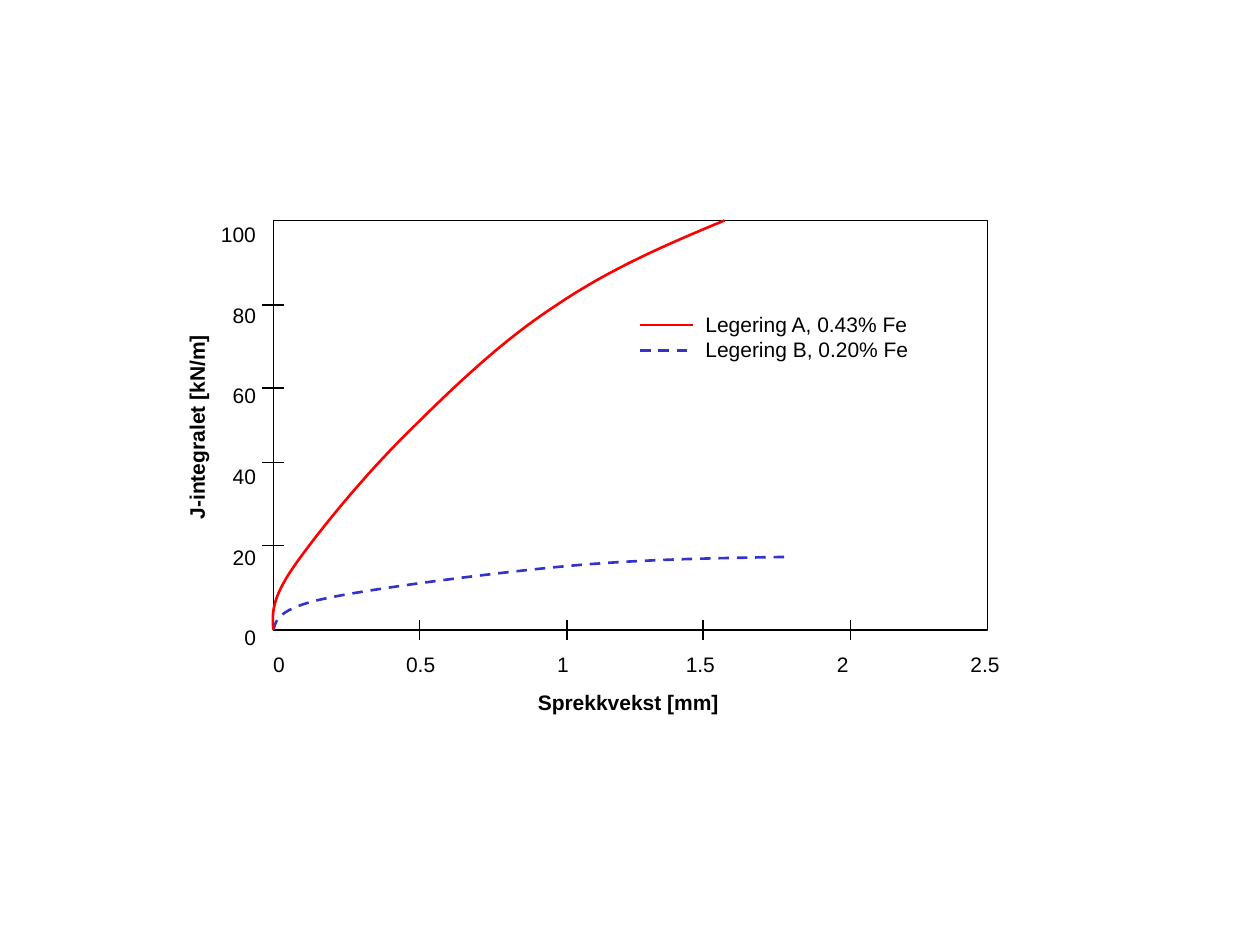
import pptx
import pptx.util
import pptx.dml.color
import pptx.enum.dml
import pptx.enum.shapes
import pptx.enum.text
import pptx.oxml.ns
from lxml import etree

Inches, Pt = pptx.util.Inches, pptx.util.Pt
RGBColor = pptx.dml.color.RGBColor
DASH = pptx.enum.dml.MSO_LINE.DASH
PP_ALIGN = pptx.enum.text.PP_ALIGN

BLACK = RGBColor(0x00, 0x00, 0x00)
RED = RGBColor(0xFF, 0x00, 0x00)
BLUE = RGBColor(0x33, 0x33, 0xCC)

# Offsets in inches from the top left corner of the plot
X_TICKS = (1.16, 2.33, 3.41, 4.58)
Y_TICKS = (0.67, 1.33, 1.92, 2.58)
X_LABEL_CENTRES = (1.17, 2.3, 3.39, 4.52, 5.65)
CURVE_A = [(0, 3.25), (-0.01, 3.13), (-0.02, 3.01), (0.16, 2.75),
           (0.34, 2.49), (0.73, 2.01), (1.08, 1.67),
           (1.43, 1.32), (1.83, 0.94), (2.25, 0.67),
           (2.66, 0.39), (3.12, 0.19), (3.58, 0)]
CURVE_B = [(0, 3.25), (0.02, 3.17), (0.04, 3.08), (0.41, 3),
           (0.79, 2.92), (1.64, 2.81), (2.25, 2.75),
           (2.86, 2.69), (3.47, 2.68), (4.08, 2.67)]


def style_line(line, color, width, dash=None):
    line.color.rgb = color
    line.width = Pt(width)
    if dash:
        line.dash_style = dash


def add_line(s, x1, y1, x2, y2, color=BLACK, width=0.75, dash=None):
    c = s.shapes.add_connector(pptx.enum.shapes.MSO_CONNECTOR.STRAIGHT,
                               Inches(x1), Inches(y1), Inches(x2), Inches(y2))
    style_line(c.line, color, width, dash)
    etree.SubElement(c._element.spPr, pptx.oxml.ns.qn("a:effectLst"))


def add_text(s, x, y, w, h, text, bold=False, align=PP_ALIGN.LEFT, spacing=None):
    sp = s.shapes.add_textbox(Inches(x), Inches(y), Inches(w), Inches(h))
    tf = sp.text_frame
    tf.word_wrap = False
    tf.text = text
    for p in tf.paragraphs:
        p.alignment = align
        p.line_spacing = spacing
        for r in p.runs:
            r.font.name = "Arial"
            r.font.size = Pt(12)
            r.font.bold = bold
            r.font.color.rgb = BLACK
    return sp


def set_centre_tabs(p, positions):
    qn = pptx.oxml.ns.qn
    tabs = etree.SubElement(p._p.get_or_add_pPr(), qn("a:tabLst"))
    for pos in positions:
        etree.SubElement(tabs, qn("a:tab"), pos=str(Inches(pos)), algn="ctr")


def sample_bezier(points, steps=16):
    """Return points along joined cubic curves; each curve ends where the next starts."""
    out = [points[0]]
    for i in range(0, len(points) - 1, 3):
        a, b, c, d = points[i:i + 4]
        for n in range(1, steps + 1):
            t = n / steps
            u = 1 - t
            out.append(tuple(
                u**3 * a[k] + 3 * u * u * t * b[k] + 3 * u * t * t * c[k] + t**3 * d[k]
                for k in (0, 1)))
    return out


def add_curve(s, x, y, points, color, dash=None):
    pts = [(Inches(x + px), Inches(y + py)) for px, py in sample_bezier(points)]
    fb = s.shapes.build_freeform(*pts[0])
    fb.add_line_segments(pts[1:], close=False)
    sp = fb.convert_to_shape()
    sp.shadow.inherit = False
    sp.fill.background()
    style_line(sp.line, color, 1.5, dash)


def add_plot(s, x, y, w, h):
    frame = s.shapes.add_shape(pptx.enum.shapes.MSO_SHAPE.RECTANGLE,
                               Inches(x), Inches(y), Inches(w), Inches(h))
    frame.shadow.inherit = False
    frame.fill.background()
    style_line(frame.line, BLACK, 0.75)
    add_curve(s, x, y, CURVE_B, BLUE, DASH)
    add_curve(s, x, y, CURVE_A, RED)


def add_axes(s, x, y, w, h):
    bottom = y + h
    for dx in X_TICKS:
        add_line(s, x + dx, bottom - 0.08, x + dx, bottom + 0.08)
    for dy in Y_TICKS:
        add_line(s, x - 0.09, y + dy, x + 0.08, y + dy)

    labels = add_text(s, x - 0.1, bottom + 0.12, w + 0.43, 0.3,
                      "\t".join(("0", "0.5", "1", "1.5", "2", "2.5")))
    labels.text_frame.word_wrap = True
    set_centre_tabs(labels.text_frame.paragraphs[0], X_LABEL_CENTRES)
    add_text(s, x - 0.52, y - 0.48, 0.48, 3.94,
             "\n".join(str(v) for v in range(100, -1, -20)),
             align=PP_ALIGN.RIGHT, spacing=3.2)

    add_text(s, x + 2, bottom + 0.42, 1.75, 0.3, "Sprekkvekst [mm]", bold=True)
    title = add_text(s, x - 1.49, y + 1.49, 1.76, 0.3, "J-integralet [kN/m]",
                     bold=True, align=PP_ALIGN.CENTER)
    title.rotation = 270


def add_legend(s, x, y, w, h):
    key = 0.42
    add_line(s, x, y + 0.16, x + key, y + 0.16, RED, 1.5)
    add_line(s, x, y + 0.36, x + key, y + 0.36, BLUE, 1.5, DASH)
    add_text(s, x + key, y, w - key, h, "Legering A, 0.43% Fe\nLegering B, 0.20% Fe")


def main():
    prs = pptx.Presentation()
    prs.slide_width, prs.slide_height = Inches(10), Inches(7.5)
    s = prs.slides.add_slide(prs.slide_layouts[6])
    plot_box = (2.17, 1.75, 5.67, 3.25)
    add_plot(s, *plot_box)
    add_axes(s, *plot_box)
    add_legend(s, 5.08, 2.42, 2.33, 0.5)
    prs.save("out.pptx")


if __name__ == "__main__":
    main()
